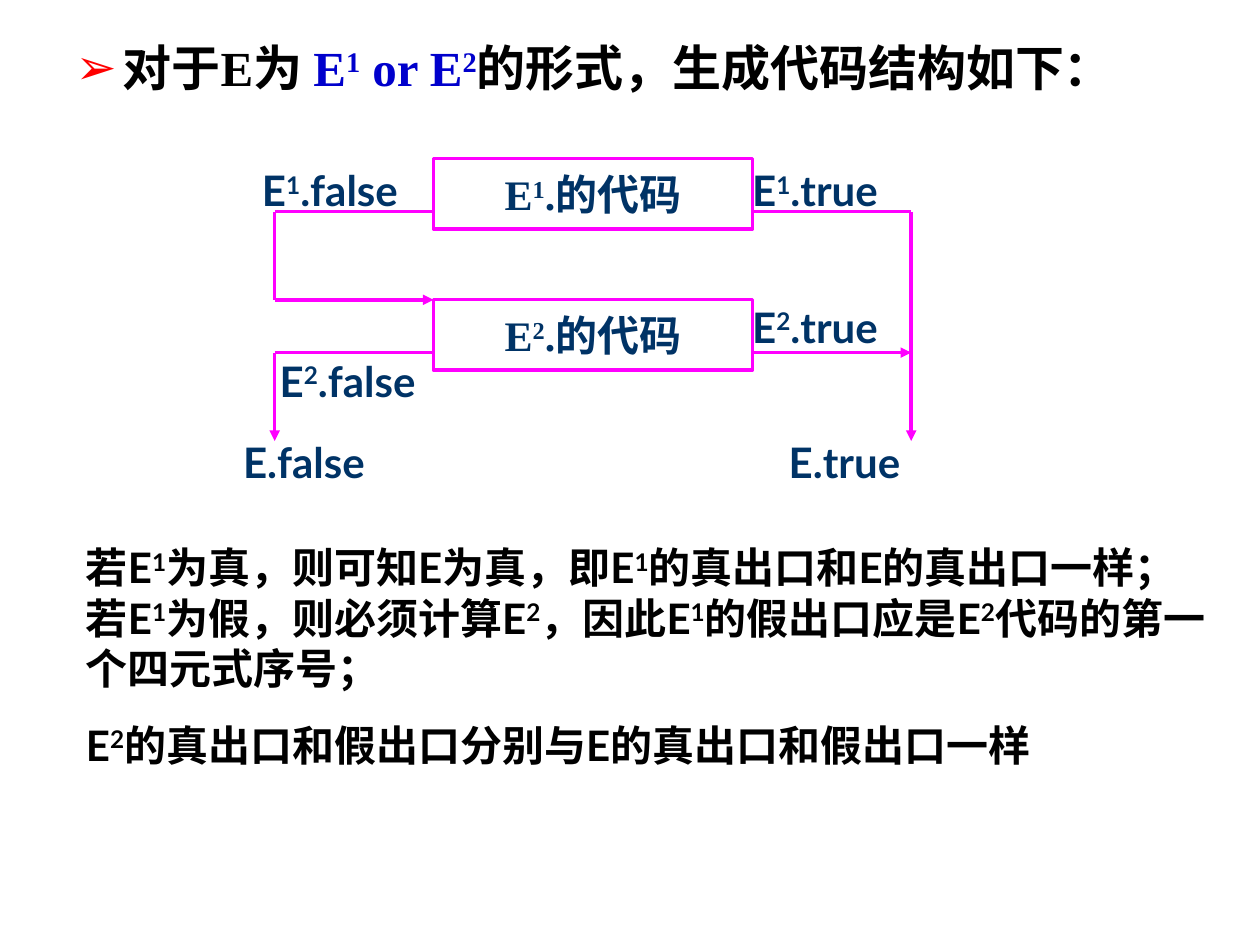
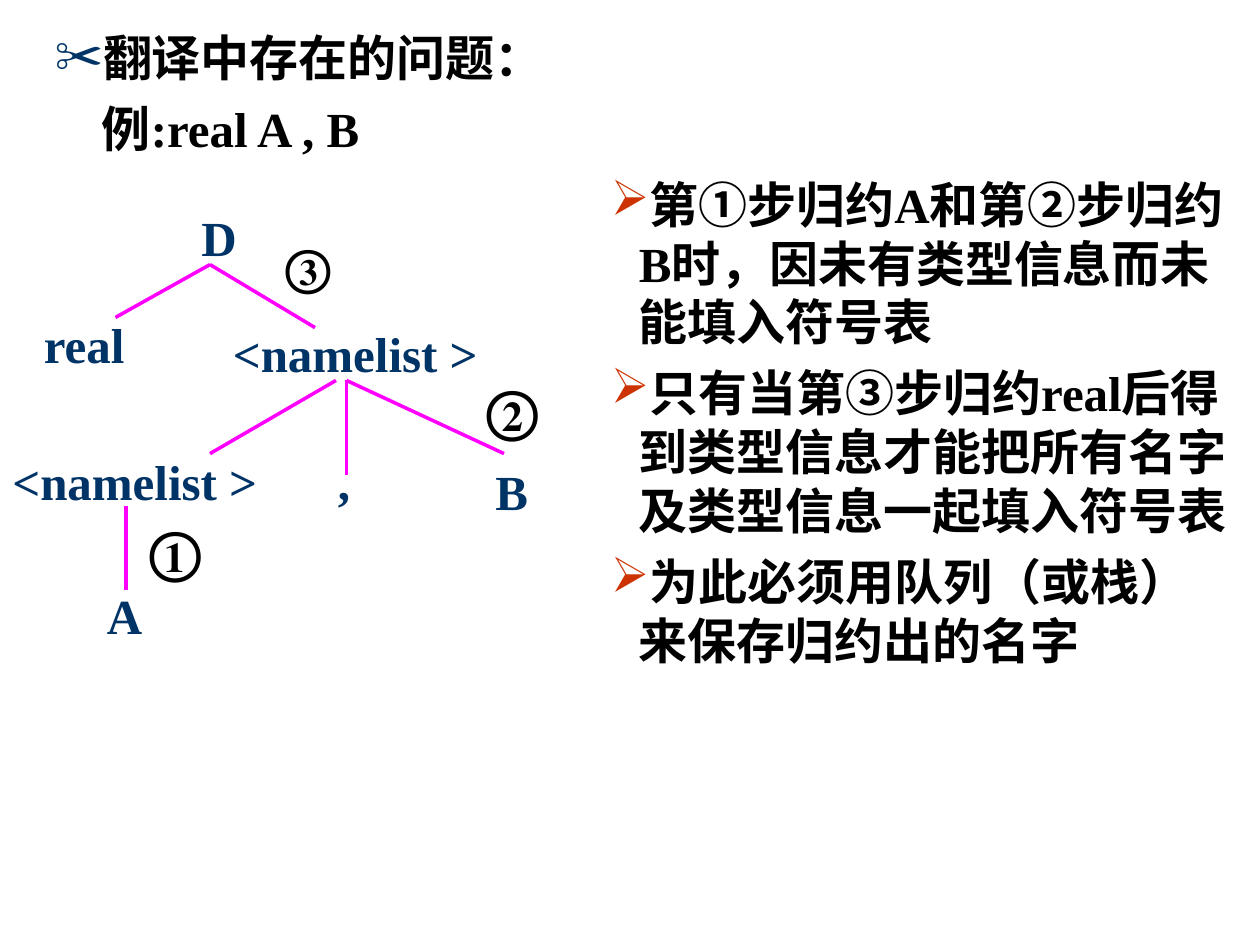
from lxml import etree
from pptx import Presentation
from pptx.dml.color import RGBColor
from pptx.enum.shapes import MSO_CONNECTOR, MSO_SHAPE
from pptx.enum.text import MSO_ANCHOR, MSO_AUTO_SIZE, PP_ALIGN
from pptx.oxml.ns import qn
from pptx.util import Pt

STRAIGHT = MSO_CONNECTOR.STRAIGHT
RECTANGLE = MSO_SHAPE.RECTANGLE
TOP, MIDDLE = MSO_ANCHOR.TOP, MSO_ANCHOR.MIDDLE
NO_FIT, GROW = MSO_AUTO_SIZE.NONE, MSO_AUTO_SIZE.SHAPE_TO_FIT_TEXT
CENTER, JUSTIFY = PP_ALIGN.CENTER, PP_ALIGN.JUSTIFY

COLORS = {
    "text": "000000", "label": "003366", "formula": "0000CC", "flow": "FF00FF",
    "paper": "FFFFFF", "red": "FF0000", "rust": "CC3300",
}
SERIF, SANS = "Times New Roman", "Lato"


def rgb(name):
    return RGBColor.from_string(COLORS[name])


def add_bullet(paragraph, mark, color, hanging):
    properties = paragraph._p.get_or_add_pPr()
    properties.set("marL", str(Pt(hanging)))
    properties.set("indent", str(Pt(-hanging if mark else 0)))
    if not mark:
        etree.SubElement(properties, qn("a:buNone"))
        return
    tint = etree.SubElement(properties, qn("a:buClr"))
    etree.SubElement(tint, qn("a:srgbClr"), val=COLORS[color])
    etree.SubElement(properties, qn("a:buChar"), char=mark)


def write_text(frame, lines, size=28, font=SERIF, color="text", accent="formula",
               align=None, gap=0, bullets=None, bullet_color="text", hanging=0,
               anchor=TOP, fit=NO_FIT, wrap=True):
    """Marks in lines: *accented words* and ^ before a raised character."""
    frame.auto_size, frame.word_wrap, frame.vertical_anchor = fit, wrap, anchor

    def add_run(paragraph, words, tone, raised=False):
        run = paragraph.add_run()
        run.text = words
        run.font.size, run.font.name, run.font.bold = Pt(size), font, True
        run.font.color.rgb = rgb(tone)
        if raised:
            run._r.get_or_add_rPr().set("baseline", "30000")

    for row, line in enumerate(lines):
        paragraph = frame.paragraphs[0] if row == 0 else frame.add_paragraph()
        if bullets:
            add_bullet(paragraph, bullets[row], bullet_color, hanging)
        paragraph.space_before = Pt(gap if row else 0)
        if align is not None:
            paragraph.alignment = align
        for part, phrase in enumerate(line.split("*")):
            tone = accent if part % 2 else color
            for order, piece in enumerate(phrase.split("^")):
                if order:
                    add_run(paragraph, piece[0], tone, raised=True)
                    piece = piece[1:]
                if piece:
                    add_run(paragraph, piece, tone)


def add_label(slide, left, top, width, height, lines, **text_format):
    label = slide.shapes.add_textbox(Pt(left), Pt(top), Pt(width), Pt(height))
    write_text(label.text_frame, lines, fit=GROW, **text_format)


def add_line(slide, start, end, arrow=False):
    line = slide.shapes.add_connector(STRAIGHT, *map(Pt, start + end))
    line.line.color.rgb = rgb("flow")
    line.line.width = Pt(2)
    if arrow:
        etree.SubElement(line.line._get_or_add_ln(), qn("a:tailEnd"), type="triangle")
    etree.SubElement(line._element.spPr, qn("a:effectLst"))


def add_heading(slide, left, top, width, height, lines, **text_format):
    title = slide.shapes.title
    title._element.getparent().remove(title._element)
    heading = slide.placeholders[1]
    heading.left, heading.top = Pt(left), Pt(top)
    heading.width, heading.height = Pt(width), Pt(height)
    write_text(heading.text_frame, lines, gap=7, hanging=27, **text_format)


def add_jump_diagram(slide, left, top):
    code_left, code_width, code_height = 90.7, 182.3, 40.3
    code_right = code_left + code_width
    merge = code_right + code_left
    pitch, exit_drop, bottom = 80.6, 30.2, 161.3
    second_exit = pitch + exit_drop

    for row in range(2):
        code = slide.shapes.add_shape(
            RECTANGLE, Pt(left + code_left), Pt(top + row * pitch),
            Pt(code_width), Pt(code_height))
        code.shadow.inherit = False
        code.fill.solid()
        code.fill.fore_color.rgb = rgb("paper")
        code.line.color.rgb = rgb("flow")
        code.line.width = Pt(2)
        write_text(code.text_frame, [f"E^{row + 1}.的代码"], size=24,
                   color="label", align=CENTER, anchor=MIDDLE)

    jumps = [
        ((0, exit_drop), (code_left, exit_drop), False),
        ((0, exit_drop), (0, pitch), False),
        ((0, pitch), (code_left, pitch), True),
        ((0, second_exit), (code_left, second_exit), False),
        ((0, second_exit), (0, bottom), True),
        ((code_right, exit_drop), (merge, exit_drop), False),
        ((merge, exit_drop), (merge, bottom), True),
        ((code_right, second_exit), (merge, second_exit), True),
    ]
    for (x1, y1), (x2, y2), arrow in jumps:
        add_line(slide, (left + x1, top + y1), (left + x2, top + y2), arrow)

    exits = [
        ("E^1.false", -14.4, 0), ("E^2.false", -4.3, 108.7), ("E.false", -25.2, 155.5),
        ("E^1.true", 265.7, 0), ("E^2.true", 265.7, 77.8), ("E.true", 286.6, 155.5),
    ]
    for name, x, y in exits:
        add_label(slide, left + x, top + y, 114.5, 36, [name],
                  size=24, font=SANS, color="label")


def add_parse_tree(slide, left, top):
    nodes = [
        ("D", 108, 0, 36), ("real", 18, 61.2, 66), ("<namelist >", 126, 66.2, 156),
        ("<namelist >", 0, 139, 156), (",", 186, 139, 30), ("B", 276, 144.7, 36),
        ("A", 54, 216, 36),
    ]
    for symbol, x, y, width in nodes:
        add_label(slide, left + x, top + y, width, 41, [symbol], color="label")

    branches = [
        ((120, 36), [(66, 66.2), (180, 72)]),
        ((192, 102.2), [(120, 144)]),
        ((198, 102.2), [(198, 156.2), (288, 144)]),
        ((72, 174.2), [(72, 222)]),
    ]
    for (x1, y1), children in branches:
        for x2, y2 in children:
            add_line(slide, (left + x1, top + y1), (left + x2, top + y2))

    steps = [("①", 78.5, 176.4, 32), ("②", 270.7, 95.8, 32), ("③", 156.2, 16.6, 28)]
    for number, x, y, size in steps:
        add_label(slide, left + x, top + y, size + 14.4, size + 14, [number],
                  size=size, wrap=False)


def build_or_slide(slide):
    add_heading(slide, 36, 18, 654.5, 42,
                ["对于E为 *E^1 or E^2*的形式，生成代码结构如下："],
                bullets="➢", bullet_color="red")
    add_jump_diagram(slide, 157, 90.7)
    add_label(slide, 42, 306, 660, 137.5, [
        "若E^1为真，则可知E为真，即E^1的真出口和E的真出口一样；"
        "若E^1为假，则必须计算E^2，因此E^1的假出口应是E^2代码的第一个四元式序号；",
        "E^2的真出口和假出口分别与E的真出口和假出口一样",
    ], size=24, font=SANS, gap=15)


def build_problem_slide(slide):
    add_heading(slide, 24, 12, 666.7, 84, ["翻译中存在的问题：", "例:real A , B"],
                bullets=["✂", ""], bullet_color="label", align=JUSTIFY)
    add_label(slide, 342, 96, 368.6, 324, [
        "第①步归约A和第②步归约B时，因未有类型信息而未能填入符号表",
        "只有当第③步归约real后得到类型信息才能把所有名字及类型信息一起填入符号表",
        "为此必须用队列（或栈）来保存归约出的名字",
    ], gap=7, bullets="➢➢➢", bullet_color="rust", hanging=16)
    add_parse_tree(slide, 0, 115.2)


def main():
    deck = Presentation()
    deck.slide_width, deck.slide_height = Pt(720), Pt(540)
    for build in (build_or_slide, build_problem_slide):
        build(deck.slides.add_slide(deck.slide_layouts[1]))
    deck.save("out.pptx")


if __name__ == "__main__":
    main()
